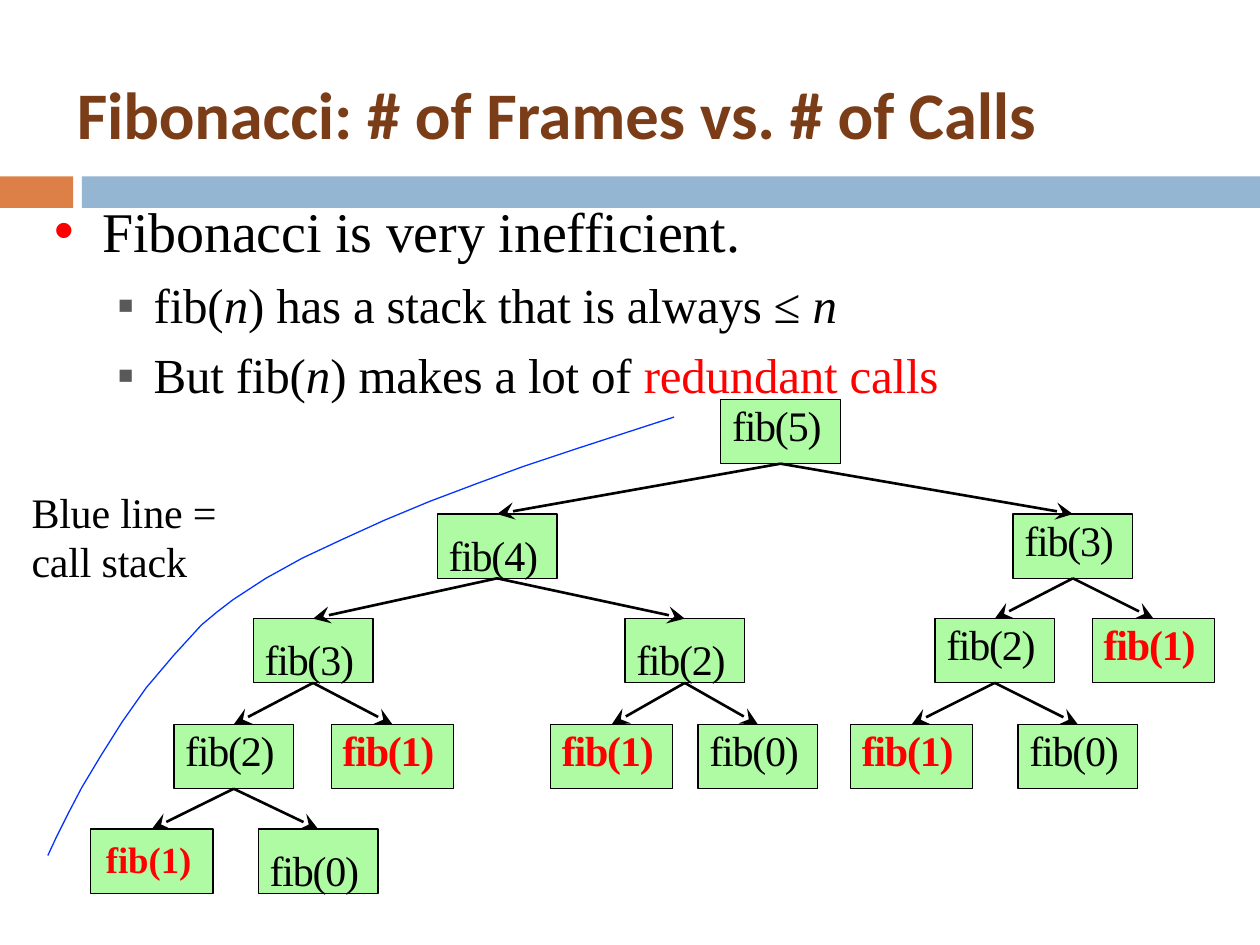
from pptx import Presentation
from pptx.util import Inches, Pt
from pptx.dml.color import RGBColor
from pptx.enum.shapes import MSO_SHAPE, MSO_CONNECTOR
from pptx.enum.text import MSO_ANCHOR, PP_ALIGN
from lxml import etree
from pptx.oxml.ns import qn

SERIF = "Times New Roman"
BLACK, RED, GREEN = "000000", "FF0000", "AEFBA3"
TITLE = "Fibonacci: # of Frames vs. # of Calls"
POINTS = [
    (32, 0, 0.39, -0.38, "•", RED, [("Fibonacci is very inefficient.", {})]),
    (28, 6.3, 0.8, -0.29, "▪", "595959", [
        ("fib(", {}), ("n", {"italic": True}),
        (") has a stack that is always ≤ ", {}), ("n", {"italic": True})]),
    (28, 6.4, 0.8, -0.29, "▪", "595959", [
        ("But fib(", {}), ("n", {"italic": True}), (") makes a lot of ", {}),
        ("redundant calls", {"color": RED})]),
]
BANDS = [(0, 0.58, "DD8047"), (0.65, 9.35, "94B6D2")]
TOPS = [3.17, 4.08, 4.91, 5.75, 6.58]
HIGH = 0.51
LOW = {"top": 0.12}
CALLS = [
    ("root", None, 5, 5.72, 0, {}),
    ("l", "root", 4, 3.47, 1, LOW),
    ("r", "root", 3, 8.04, 1, {}),
    ("ll", "l", 3, 2.01, 2, LOW),
    ("lr", "l", 2, 4.96, 2, LOW),
    ("rl", "r", 2, 7.42, 2, {}),
    ("rr", "r", 1, 8.67, 2, {}),
    ("lll", "ll", 2, 1.38, 3, {}),
    ("llr", "ll", 1, 2.63, 3, {}),
    ("lrl", "lr", 1, 4.37, 3, {}),
    ("lrr", "lr", 0, 5.54, 3, {}),
    ("rll", "rl", 1, 6.75, 3, {}),
    ("rlr", "rl", 0, 8.08, 3, {}),
    ("llll", "lll", 1, 0.72, 4,
     {"top": 0.06, "left": 0.12, "size": 21, "gap": 0}),
    ("lllr", "lll", 0, 2.05, 4, LOW),
]
STACK = [
    (5.35, 3.31), (4.95, 3.44), (4.55, 3.57), (4.16, 3.7), (3.78, 3.84),
    (3.41, 3.98), (3.05, 4.13), (2.72, 4.28), (2.4, 4.43), (2.11, 4.59),
    (1.85, 4.76), (1.72, 4.86), (1.6, 4.96), (1.49, 5.08), (1.38, 5.2),
    (1.16, 5.46), (0.97, 5.73), (0.8, 6), (0.65, 6.25), (0.54, 6.46),
    (0.45, 6.64), (0.38, 6.79),
]

prs = Presentation()
prs.slide_width, prs.slide_height = Inches(10), Inches(7.5)
slide = prs.slides.add_slide(prs.slide_layouts[6])
shapes = slide.shapes


def rgb(code):
    return RGBColor.from_string(code)


def write(para, text, size=24, font=SERIF, color=BLACK, bold=False,
          italic=False, gap=-0.1):
    run = para.add_run()
    run.text = text
    face = run.font
    face.size, face.name, face.bold, face.italic = Pt(size), font, bold, italic
    face.color.rgb = rgb(color)
    run._r.get_or_add_rPr().set("spc", str(round(gap * 100)))


def frame(shape, left=0, top=0, anchor=MSO_ANCHOR.TOP):
    tf = shape.text_frame
    tf.word_wrap = True
    tf.margin_left, tf.margin_top = Inches(left), Inches(top)
    tf.margin_right = tf.margin_bottom = 0
    tf.vertical_anchor = anchor
    tf.paragraphs[0].alignment = PP_ALIGN.LEFT
    return tf


def textbox(x, y, w, h, **opts):
    return frame(shapes.add_textbox(*map(Inches, (x, y, w, h))), **opts)


def rect(x, y, w, h, fill, line=None):
    box = shapes.add_shape(MSO_SHAPE.RECTANGLE, *map(Inches, (x, y, w, h)))
    box.shadow.inherit = False
    box.fill.solid()
    box.fill.fore_color.rgb = rgb(fill)
    if line:
        box.line.color.rgb, box.line.width = rgb(line), Pt(0.75)
    else:
        box.line.fill.background()
    return box


def bullet(para, left, hang, mark, color):
    props = para._p.get_or_add_pPr()
    props.set("marL", str(Inches(left)))
    props.set("indent", str(Inches(hang)))
    tint = etree.SubElement(props, qn("a:buClr"))
    etree.SubElement(tint, qn("a:srgbClr")).set("val", color)
    etree.SubElement(props, qn("a:buFont")).set("typeface", "Arial")
    etree.SubElement(props, qn("a:buChar")).set("char", mark)


def arrow(x1, y1, x2, y2):
    link = shapes.add_connector(MSO_CONNECTOR.STRAIGHT,
                                *map(Inches, (x1, y1, x2, y2)))
    link.line.color.rgb, link.line.width = rgb(BLACK), Pt(1.5)
    head = etree.SubElement(link.line._get_or_add_ln(), qn("a:tailEnd"))
    for key, val in (("type", "stealth"), ("w", "lg"), ("len", "lg")):
        head.set(key, val)
    etree.SubElement(link._element.spPr, qn("a:effectLst"))


for x, w, fill in BANDS:
    rect(x, 1.4, w, 0.25, fill)

title = textbox(0.61, 0.58, 9.33, 0.64, anchor=MSO_ANCHOR.MIDDLE)
write(title.paragraphs[0], TITLE, size=38, font="Calibri", color="7B3D17",
      bold=True)

body = textbox(0.42, 1.56, 7.12, 1.58)
for i, (size, before, left, hang, mark, tint, runs) in enumerate(POINTS):
    para = body.add_paragraph() if i else body.paragraphs[0]
    para.space_before = Pt(before)
    bullet(para, left, hang, mark, tint)
    for text, style in runs:
        write(para, text, size=size, **style)

spots = {}
for name, up, num, x, row, style in CALLS:
    base = num == 1
    w = 0.97 if base else 0.95
    box = rect(x, TOPS[row], w, HIGH, GREEN, BLACK)
    tf = frame(box, left=style.get("left", 0.09), top=style.get("top", 0))
    write(tf.paragraphs[0], f"fib({num})", size=style.get("size", 24),
          color=RED if base else BLACK, bold=base, gap=style.get("gap", -0.7))
    spots[name] = (x + w / 2, TOPS[row])

for name, up, *rest in CALLS:
    if up:
        x, y = spots[up]
        arrow(x, y + HIGH, *spots[name])

note = textbox(0.25, 3.87, 1.51, 0.75).paragraphs[0]
note.line_spacing = Pt(28)
write(note, "Blue line = call stack")

path = [(Inches(x), Inches(y)) for x, y in STACK]
pen = shapes.build_freeform(*path[0])
pen.add_line_segments(path[1:], close=False)
curve = pen.convert_to_shape()
curve.shadow.inherit = False
curve.fill.background()
curve.line.color.rgb, curve.line.width = rgb("0433FF"), Pt(0.75)

prs.save("out.pptx")
